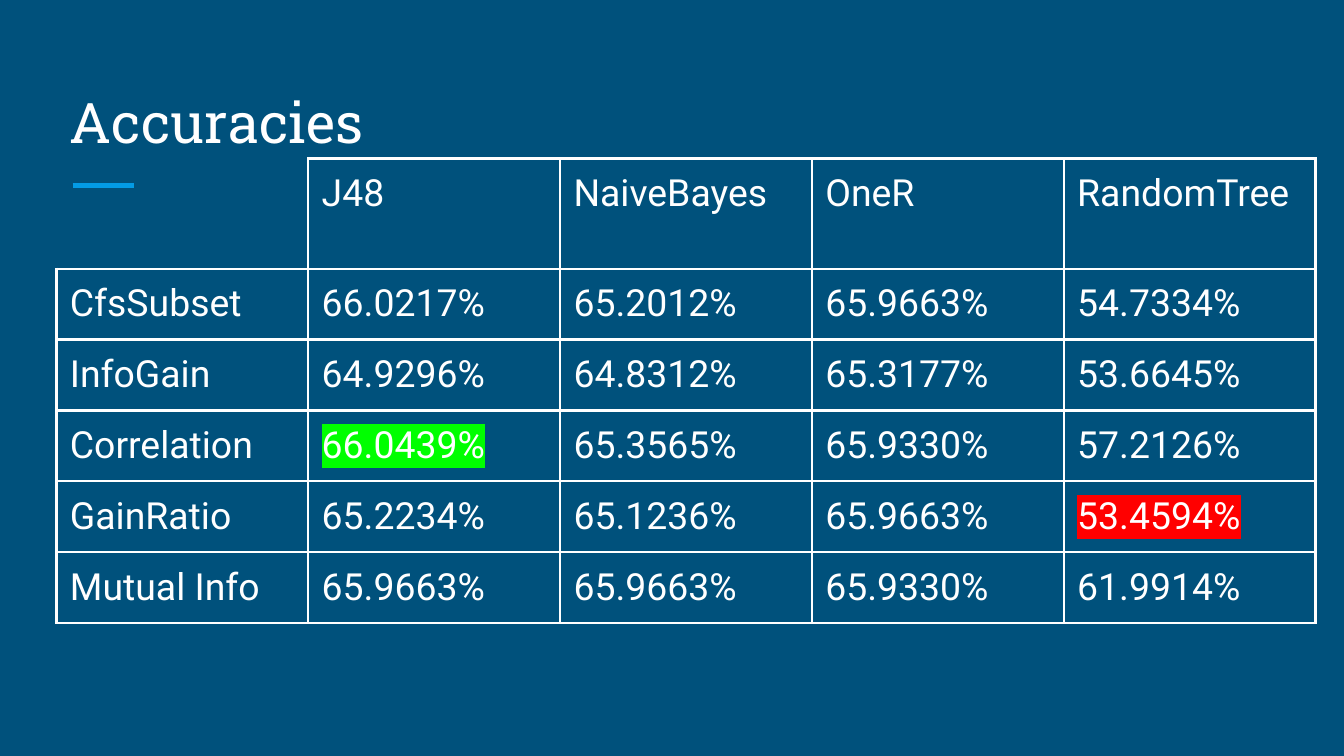
from dataclasses import dataclass

from lxml.etree import SubElement
from pptx import Presentation
from pptx.dml.color import RGBColor
from pptx.enum.shapes import MSO_CONNECTOR
from pptx.enum.text import MSO_ANCHOR, PP_ALIGN
from pptx.oxml import parse_xml
from pptx.oxml.ns import nsdecls, qn
from pptx.util import Inches, Pt


@dataclass(frozen=True)
class Theme:
    background: str = "00517C"
    text: str = "FFFFFF"
    accent: str = "039BE5"
    best: str = "00FF00"
    worst: str = "FF0000"
    title_font: str = "Roboto Slab"
    body_font: str = "Roboto"
    title_size: float = 30
    body_size: float = 20
    rule_width: float = 3
    border_width: float = 1.5
    inset: float = 0.1


THEME = Theme()
SLIDE_WIDTH = 10
SLIDE_HEIGHT = SLIDE_WIDTH * 9 / 16

CLASSIFIERS = ["", "J48", "NaiveBayes", "OneR", "RandomTree"]
ACCURACIES = [
    ["CfsSubset", "66.0217%", "65.2012%", "65.9663%", "54.7334%"],
    ["InfoGain", "64.9296%", "64.8312%", "65.3177%", "53.6645%"],
    ["Correlation", "66.0439%", "65.3565%", "65.9330%", "57.2126%"],
    ["GainRatio", "65.2234%", "65.1236%", "65.9663%", "53.4594%"],
    ["Mutual Info", "65.9663%", "65.9663%", "65.9330%", "61.9914%"],
]
HIGHLIGHTS = {"66.0439%": THEME.best, "53.4594%": THEME.worst}


def add_run(p, text, font, size, highlight=None):
    r = p.add_run()
    r.text = text
    r.font.size = Pt(size)
    r.font.name = font
    r.font.color.rgb = RGBColor.from_string(THEME.text)
    if highlight:
        mark = parse_xml(
            f'<a:highlight {nsdecls("a")}><a:srgbClr val="{highlight}"/></a:highlight>'
        )
        r.font._element.find(qn("a:solidFill")).addnext(mark)


def set_insets(target):
    for side in ("left", "top", "right", "bottom"):
        setattr(target, f"margin_{side}", Inches(THEME.inset))


def set_borders(cell, visible):
    tc_pr = cell._tc.get_or_add_tcPr()
    for side in "LRTB":
        ln = SubElement(tc_pr, qn(f"a:ln{side}"), w=str(Pt(THEME.border_width)))
        if side in visible:
            fill = SubElement(ln, qn("a:solidFill"))
            SubElement(fill, qn("a:srgbClr"), val=THEME.text)
        else:
            SubElement(ln, qn("a:noFill"))


def add_title(s, text, left, top, width, height):
    sp = s.shapes.title
    sp.left, sp.top = Inches(left), Inches(top)
    sp.width, sp.height = Inches(width), Inches(height)
    tf = sp.text_frame
    tf.word_wrap = True
    tf.vertical_anchor = MSO_ANCHOR.BOTTOM
    set_insets(tf)
    p = tf.paragraphs[0]
    p.alignment = PP_ALIGN.LEFT
    add_run(p, text, THEME.title_font, THEME.title_size)


def add_accent_rule(s, left, top, width):
    line = s.shapes.add_connector(
        MSO_CONNECTOR.STRAIGHT,
        Inches(left), Inches(top), Inches(left + width), Inches(top),
    )
    line.line.color.rgb = RGBColor.from_string(THEME.accent)
    line.line.width = Pt(THEME.rule_width)
    SubElement(line._element.spPr, qn("a:effectLst"))


def add_accuracy_table(s, left, top, width, header_height, row_height):
    rows = [CLASSIFIERS, *ACCURACIES]
    columns = len(CLASSIFIERS)
    height = header_height + row_height * len(ACCURACIES)
    table = s.shapes.add_table(
        len(rows), columns, Inches(left), Inches(top), Inches(width), Inches(height)
    ).table
    table.first_row = False
    table.horz_banding = False
    for column in table.columns:
        column.width = Inches(width / columns)
    for i, values in enumerate(rows):
        table.rows[i].height = Inches(row_height if i else header_height)
        for j, value in enumerate(values):
            cell = table.cell(i, j)
            set_insets(cell)
            set_borders(cell, "LRTB" if i or j else "RB")
            cell.fill.background()
            if value:
                add_run(
                    cell.text_frame.paragraphs[0], value,
                    THEME.body_font, THEME.body_size, HIGHLIGHTS.get(value),
                )


def add_accuracy_slide(prs):
    s = prs.slides.add_slide(prs.slide_layouts[5])
    s.background.fill.solid()
    s.background.fill.fore_color.rgb = RGBColor.from_string(THEME.background)
    left = 0.42
    add_accent_rule(s, 0.54, 1.38, 0.46)
    add_title(s, "Accuracies", left, 0.5, 9.15, 0.75)
    add_accuracy_table(s, left, 1.18, 9.37, 0.82, 0.51)


def main():
    prs = Presentation()
    prs.slide_width, prs.slide_height = Inches(SLIDE_WIDTH), Inches(SLIDE_HEIGHT)
    add_accuracy_slide(prs)
    prs.save("out.pptx")


if __name__ == "__main__":
    main()
